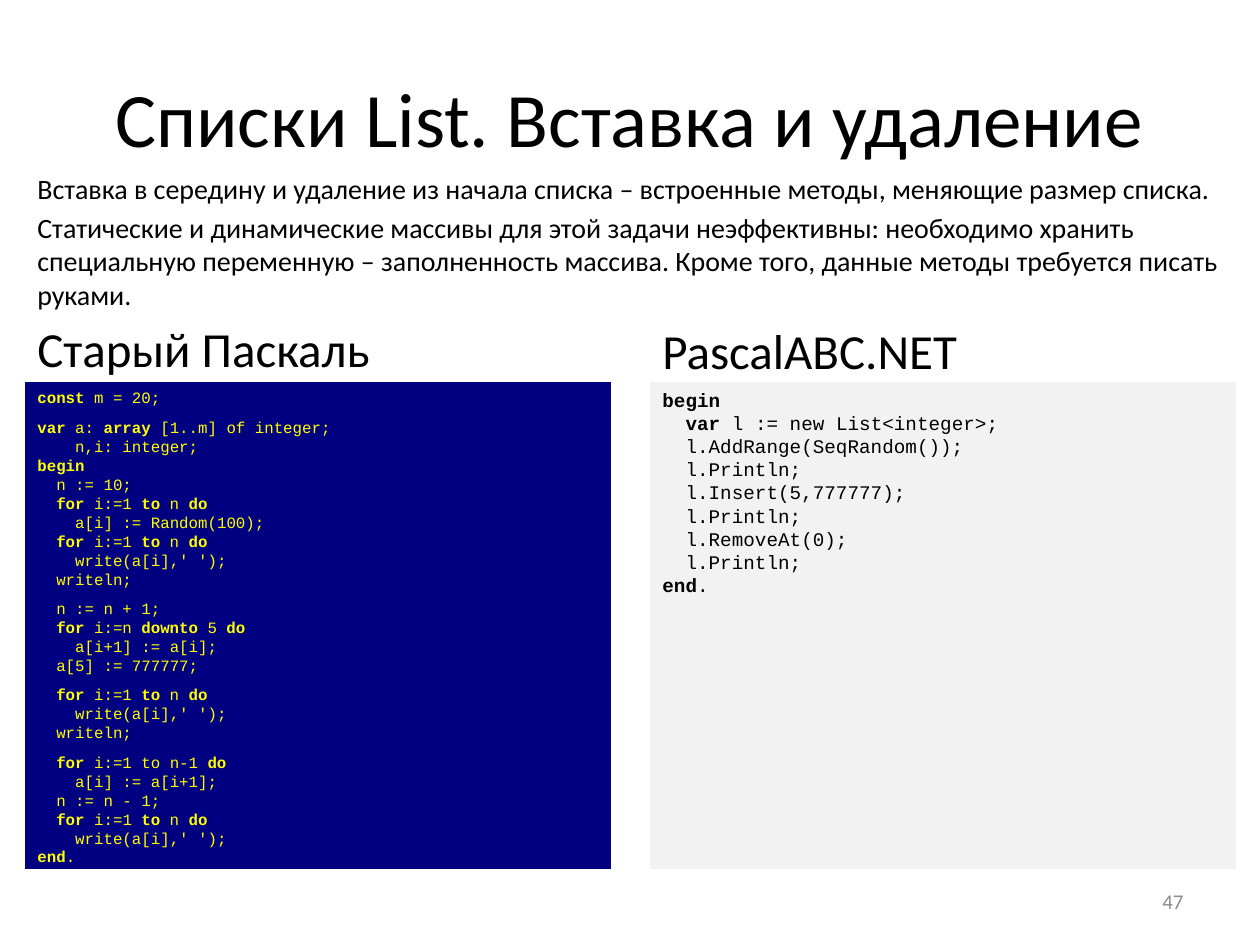
"""Build a slide comparing list insertion and deletion in two Pascal dialects."""
import dataclasses

import pptx
import pptx.dml.color
import pptx.enum.shapes
import pptx.enum.text
import pptx.util

EMU_PER_PX = 914400 / 126
ALIGN = pptx.enum.text.PP_ALIGN
ANCHOR = pptx.enum.text.MSO_ANCHOR


@dataclasses.dataclass(frozen=True)
class Theme:
    prose_font: str = "Calibri"
    code_font: str = "Courier New"
    ink: str = "000000"
    muted: str = "8C8C8C"
    old_fill: str = "000080"
    old_ink: str = "FFFF00"
    new_fill: str = "F2F2F2"
    title_size: int = 44
    heading_size: int = 28
    body_size: int = 16
    number_size: int = 12
    old_code_size: int = 9
    new_code_size: int = 11
    code_gap: int = 6
    paragraph_gap: float = 0.2
    code_char_width: float = 0.6


THEME = Theme()


@dataclasses.dataclass(frozen=True)
class Box:
    left: int
    top: int
    width: int
    height: int

    def emu(self) -> list[int]:
        return [round(px * EMU_PER_PX) for px in dataclasses.astuple(self)]


@dataclasses.dataclass(frozen=True)
class Prose:
    box: Box
    paragraphs: tuple[str, ...]
    size: int
    color: str = THEME.ink
    align: ALIGN = ALIGN.LEFT
    anchor: ANCHOR = ANCHOR.TOP
    gap: float = 0


@dataclasses.dataclass(frozen=True)
class Listing:
    heading: str
    heading_top: int
    left: int
    fill: str
    ink: str
    size: int
    code: str


OLD_CODE = """\
*const* m = 20;

*var* a: *array* [1..m] of integer;
    n,i: integer;
*begin*
  n := 10;
  *for *i:=1 *to* n *do*
    a[i] := Random(100);
  *for *i:=1 *to* n *do*
    write(a[i],' ');
  writeln;

  n := n + 1;
  *for *i:=n *downto* 5 *do*
    a[i+1] := a[i];
  a[5] := 777777;

  *for *i:=1 *to* n *do*
    write(a[i],' ');
  writeln;

  *for *i:=1 to n-1 *do*
    a[i] := a[i+1];
  n := n - 1;
  *for* i:=1 *to* n *do*
    write(a[i],' ');
*end*."""

NEW_CODE = """\
*begin*
  *var* l := new List<integer>;
  l.AddRange(SeqRandom());
  l.Println;
  l.Insert(5,777777);
  l.Println;
  l.RemoveAt(0);
  l.Println;
*end*."""

PROSE = (
    Prose(Box(63, 38, 1134, 157), ("Списки List. Вставка и удаление",),
          THEME.title_size, align=ALIGN.CENTER, anchor=ANCHOR.MIDDLE),
    Prose(Box(902, 876, 294, 50), ("47",), THEME.number_size, THEME.muted,
          ALIGN.RIGHT, ANCHOR.MIDDLE),
    Prose(Box(25, 165, 1211, 159), (
        "Вставка в середину и удаление из начала списка – встроенные методы, "
        "меняющие размер списка.",
        "Статические и динамические массивы для этой задачи неэффективны: "
        "необходимо хранить специальную переменную – заполненность массива. "
        "Кроме того, данные методы требуется писать руками.",
    ), THEME.body_size, gap=THEME.paragraph_gap),
)

LISTINGS = (
    Listing("Старый Паскаль", 312, 25, THEME.old_fill, THEME.old_ink,
            THEME.old_code_size, OLD_CODE),
    Listing("PascalABC.NET", 314, 650, THEME.new_fill, THEME.ink,
            THEME.new_code_size, NEW_CODE),
)


def rgb(color: str) -> pptx.dml.color.RGBColor:
    return pptx.dml.color.RGBColor.from_string(color)


def add_run(paragraph, text: str, font: str, size: int, color: str,
            bold: bool = False) -> None:
    run = paragraph.add_run()
    run.text = text
    run.font.name = font
    run.font.size = pptx.util.Pt(size)
    run.font.color.rgb = rgb(color)
    run.font.bold = bold


def next_paragraph(frame, index: int):
    return frame.add_paragraph() if index else frame.paragraphs[0]


def draw_prose(slide, prose: Prose) -> None:
    frame = slide.shapes.add_textbox(*prose.box.emu()).text_frame
    frame.word_wrap = True
    frame.vertical_anchor = prose.anchor
    for index, text in enumerate(prose.paragraphs):
        paragraph = next_paragraph(frame, index)
        paragraph.alignment = prose.align
        paragraph.space_before = pptx.util.Pt(prose.size * prose.gap)
        add_run(paragraph, text, THEME.prose_font, prose.size, prose.color)


def draw_code(frame, listing: Listing) -> None:
    lines = listing.code.split("\n")
    for index, line in enumerate(lines):
        if not line:
            continue
        statement = line.lstrip()
        paragraph = next_paragraph(frame, index)
        paragraph.alignment = ALIGN.LEFT
        if index and not lines[index - 1]:
            paragraph.space_before = pptx.util.Pt(THEME.code_gap)
        depth = len(line) - len(statement)
        indent = pptx.util.Pt(depth * listing.size * THEME.code_char_width)
        properties = paragraph._p.get_or_add_pPr()
        properties.set("marL", str(int(indent)))
        properties.set("indent", "0")
        for part, text in enumerate(statement.split("*")):
            if text:
                add_run(paragraph, text, THEME.code_font, listing.size,
                        listing.ink, bold=part % 2 == 1)


def draw_listing(slide, listing: Listing) -> None:
    panel = slide.shapes.add_shape(
        pptx.enum.shapes.MSO_SHAPE.RECTANGLE,
        *Box(listing.left, 382, 586, 487).emu())
    panel.shadow.inherit = False
    panel.fill.solid()
    panel.fill.fore_color.rgb = rgb(listing.fill)
    panel.line.fill.background()
    panel.text_frame.word_wrap = True
    panel.text_frame.vertical_anchor = ANCHOR.TOP
    draw_code(panel.text_frame, listing)
    draw_prose(slide, Prose(Box(listing.left, listing.heading_top, 586, 69),
                            (listing.heading,), THEME.heading_size,
                            gap=THEME.paragraph_gap))


def main() -> None:
    presentation = pptx.Presentation()
    presentation.slide_width = pptx.util.Inches(10)
    presentation.slide_height = pptx.util.Inches(7.5)
    slide = presentation.slides.add_slide(presentation.slide_layouts[6])
    for prose in PROSE:
        draw_prose(slide, prose)
    for listing in LISTINGS:
        draw_listing(slide, listing)
    presentation.save("out.pptx")


if __name__ == "__main__":
    main()
